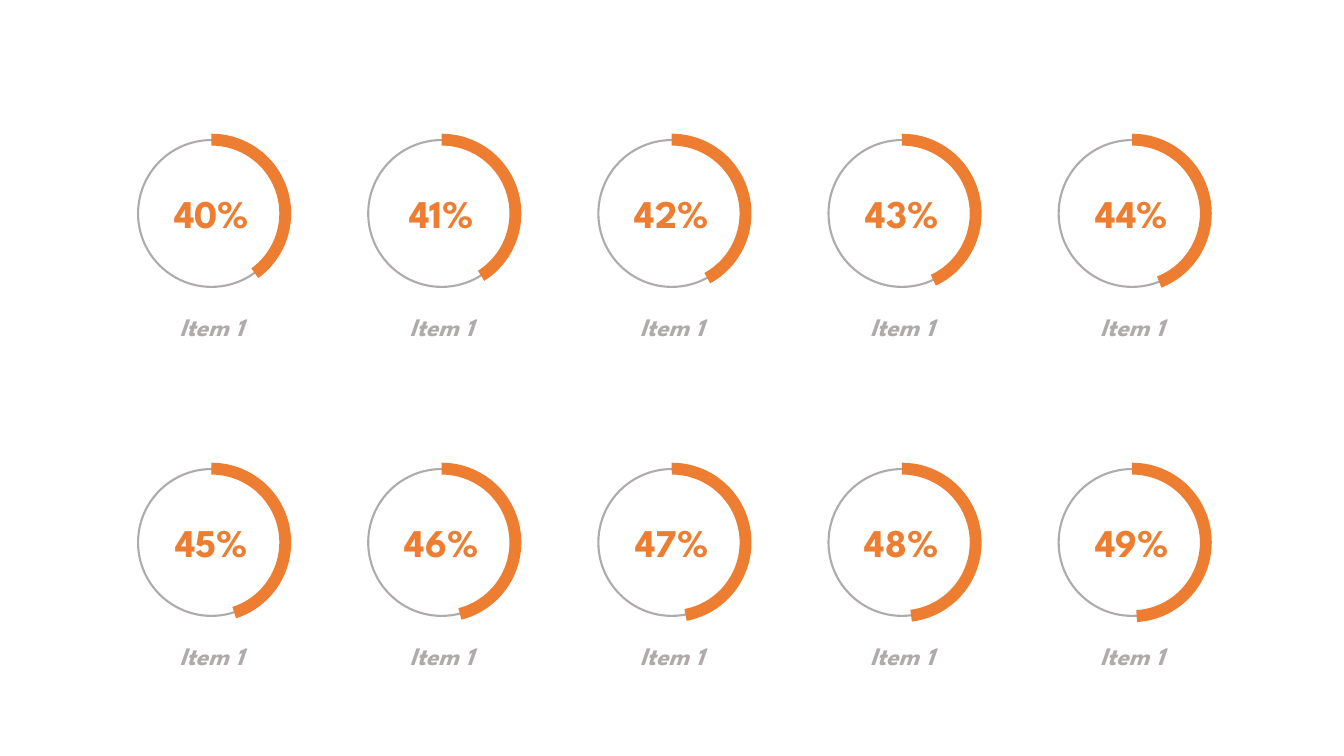
from dataclasses import dataclass

from pptx import Presentation
from pptx.dml.color import RGBColor
from pptx.enum.shapes import MSO_SHAPE as Preset
from pptx.enum.text import MSO_AUTO_SIZE as AutoSize, PP_ALIGN as Align
from pptx.shapes.autoshape import Shape
from pptx.shapes.group import GroupShape
from pptx.util import Cm, Pt


@dataclass(frozen=True)
class Theme:
    accent: RGBColor = RGBColor(0xED, 0x7D, 0x31)
    muted: RGBColor = RGBColor(0xAF, 0xAB, 0xAB)
    font: str = "League Spartan"
    percent_size: Pt = Pt(28)
    label_size: Pt = Pt(18)
    track_width: Pt = Pt(1.5)


@dataclass(frozen=True)
class Gauge:
    percent: int
    label: str
    x: float
    y: float


@dataclass(frozen=True)
class TextSpot:
    top: float
    width: float
    height: float
    font: dict


THEME = Theme()
COLUMNS, ROWS = 5, 2
FIRST_X, FIRST_Y = 5.33, 5.38
PITCH_X, PITCH_Y = 5.8, 8.29
FIRST_PERCENT = 40
TRACK_RADIUS, INNER_RADIUS, OUTER_RADIUS = 1.85, 1.71, 2.01
TOP_ANGLE = 270
ADJUSTMENT_PER_DEGREE = 0.6

PERCENT_SPOT = TextSpot(-0.73, 3.81, 1.45, {
    "name": THEME.font, "size": THEME.percent_size, "bold": True})
LABEL_SPOT = TextSpot(2.34, 5.69, 1.02, {
    "name": THEME.font, "size": THEME.label_size, "bold": True, "italic": True})


def add_round(group: GroupShape, gauge: Gauge, preset: Preset, radius: float) -> Shape:
    shape = group.shapes.add_shape(
        preset, Cm(gauge.x - radius), Cm(gauge.y - radius),
        Cm(2 * radius), Cm(2 * radius))
    shape.shadow.inherit = False
    return shape


def draw_track(group: GroupShape, gauge: Gauge) -> None:
    track = add_round(group, gauge, Preset.OVAL, TRACK_RADIUS)
    track.fill.background()
    track.line.color.rgb = THEME.muted
    track.line.width = THEME.track_width


def draw_progress(group: GroupShape, gauge: Gauge) -> None:
    progress = add_round(group, gauge, Preset.BLOCK_ARC, OUTER_RADIUS)
    end_angle = (TOP_ANGLE + 3.6 * gauge.percent) % 360
    progress.adjustments[0] = TOP_ANGLE * ADJUSTMENT_PER_DEGREE
    progress.adjustments[1] = end_angle * ADJUSTMENT_PER_DEGREE
    progress.adjustments[2] = (OUTER_RADIUS - INNER_RADIUS) / (2 * OUTER_RADIUS)
    progress.fill.solid()
    progress.fill.fore_color.rgb = THEME.accent
    progress.line.fill.background()


def draw_text(group: GroupShape, gauge: Gauge, text: str,
              spot: TextSpot, color: RGBColor) -> None:
    box = group.shapes.add_textbox(
        Cm(gauge.x - spot.width / 2), Cm(gauge.y + spot.top),
        Cm(spot.width), Cm(spot.height))
    frame = box.text_frame
    frame.word_wrap = True
    frame.auto_size = AutoSize.SHAPE_TO_FIT_TEXT
    paragraph = frame.paragraphs[0]
    paragraph.alignment = Align.CENTER
    run = paragraph.add_run()
    run.text = text
    for name, value in spot.font.items():
        setattr(run.font, name, value)
    run.font.color.rgb = color


def draw_gauge(group: GroupShape, gauge: Gauge) -> None:
    draw_track(group, gauge)
    draw_text(group, gauge, f"{gauge.percent}%", PERCENT_SPOT, THEME.accent)
    draw_text(group, gauge, gauge.label, LABEL_SPOT, THEME.muted)
    draw_progress(group, gauge)


presentation = Presentation()
presentation.slide_width, presentation.slide_height = Cm(33.87), Cm(19.05)
slide = presentation.slides.add_slide(presentation.slide_layouts[6])

for index in range(COLUMNS * ROWS):
    row, column = divmod(index, COLUMNS)
    gauge = Gauge(FIRST_PERCENT + index, "Item 1",
                  FIRST_X + column * PITCH_X, FIRST_Y + row * PITCH_Y)
    draw_gauge(slide.shapes.add_group_shape(), gauge)

presentation.save("out.pptx")
